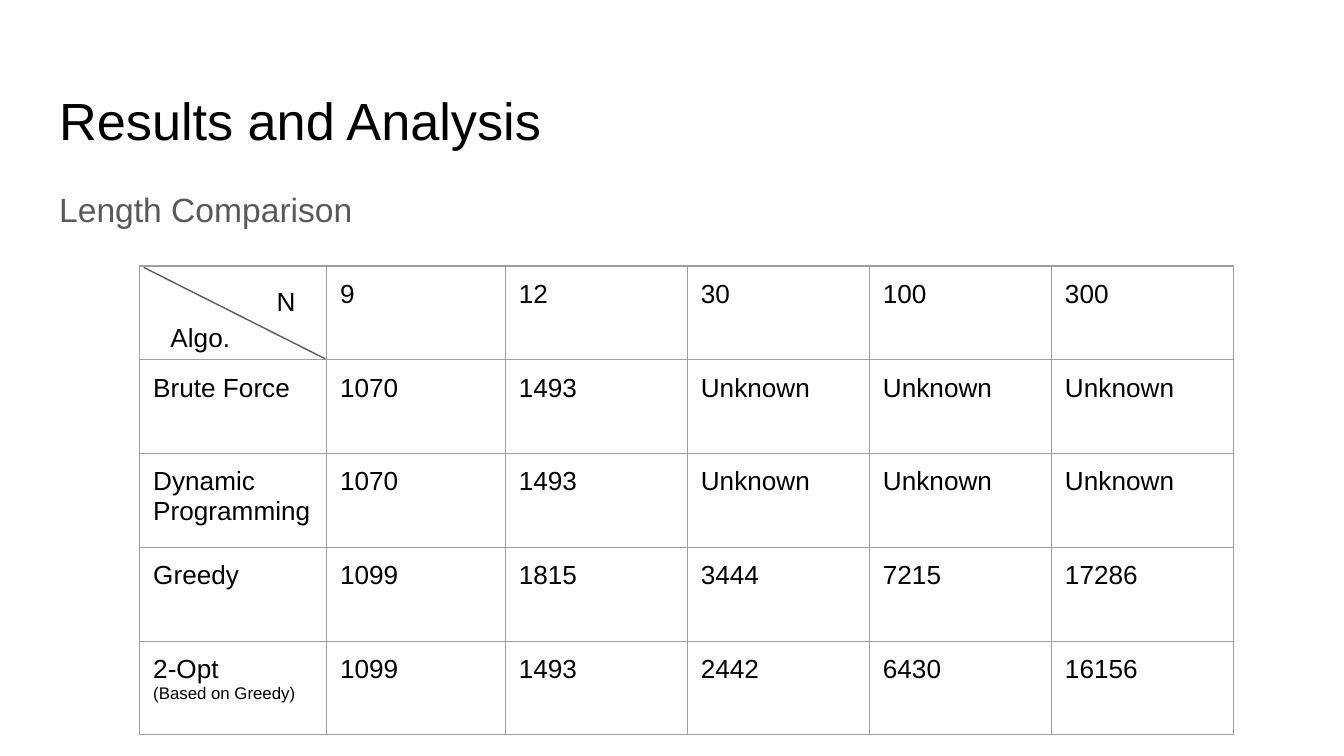
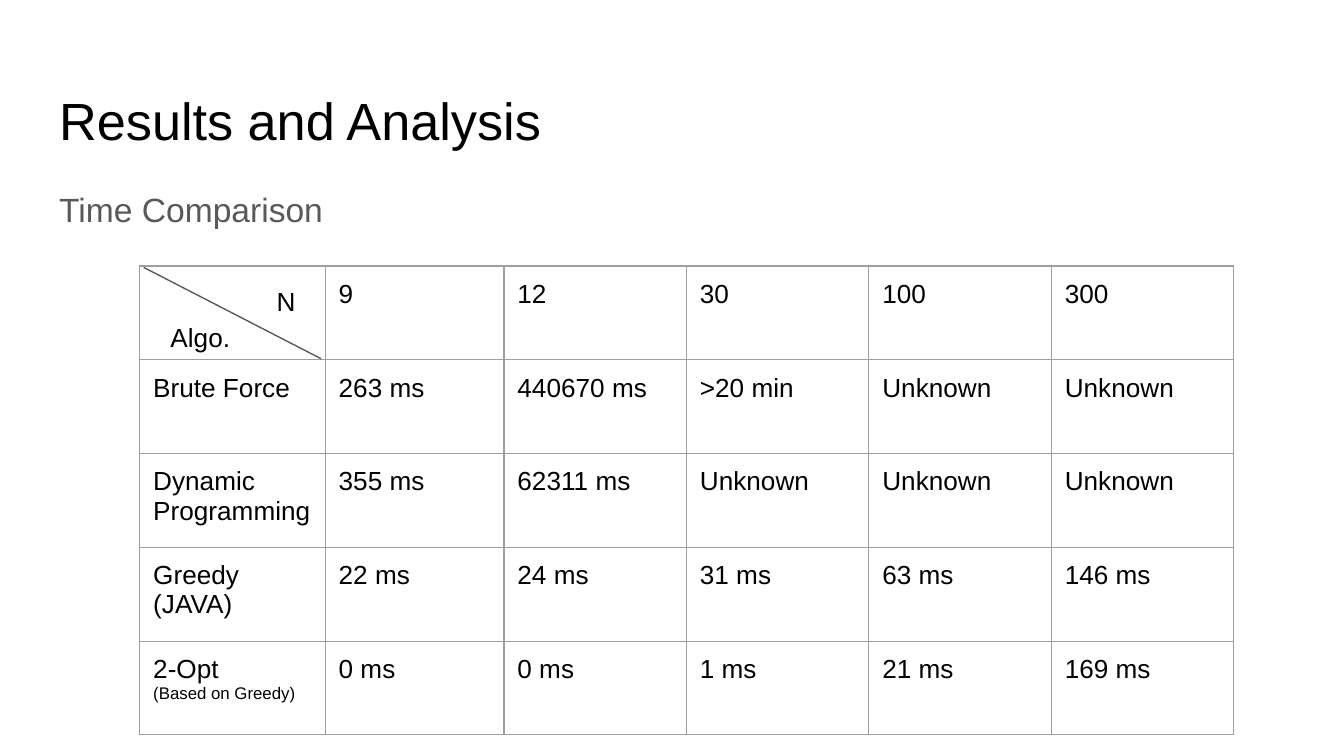
from dataclasses import dataclass

from lxml import etree
from pptx import Presentation
from pptx.dml import color
from pptx.enum import shapes, text
from pptx.oxml import ns
from pptx.util import Inches, Pt

FONT = "Arial"
BLACK = "000000"
GRAY = "595959"
BORDER = "9E9E9E"
LINE_WIDTH = Pt(0.75)
MARGIN = Inches(0.1)
SLIDE_WIDTH = Inches(10)
TABLE_LEFT, TABLE_TOP = 1.04, 1.98
TABLE_WIDTH, TABLE_HEIGHT = 8.14, 3.49
SECOND_COLUMN = 1.33
SIZES = ["9", "12", "30", "100", "300"]
SMALL_NOTE = "(Based on Greedy)"


@dataclass
class Label:
    caption: str
    left: float
    top: float
    width: float


@dataclass
class Comparison:
    subtitle: str
    first_column: float
    diagonal_end: float
    rows: list[list[str]]


CORNER_LABELS = [Label("Algo.", 1.17, 2.29, 0.79), Label("N", 1.96, 2.02, 0.55)]

COMPARISONS = [
    Comparison("Length Comparison", 1.39, 2.42, [
        ["Brute Force", "1070", "1493", "Unknown", "Unknown", "Unknown"],
        ["Dynamic Programming", "1070", "1493", "Unknown", "Unknown", "Unknown"],
        ["Greedy", "1099", "1815", "3444", "7215", "17286"],
        [f"2-Opt\n{SMALL_NOTE}", "1099", "1493", "2442", "6430", "16156"],
    ]),
    Comparison("Time Comparison", 1.38, 2.39, [
        ["Brute Force", "263 ms", "440670 ms", ">20 min", "Unknown", "Unknown"],
        ["Dynamic Programming", "355 ms", "62311 ms", "Unknown", "Unknown", "Unknown"],
        ["Greedy (JAVA)", "22 ms", "24 ms", "31 ms", "63 ms", "146 ms"],
        [f"2-Opt\n{SMALL_NOTE}", "0 ms", "0 ms", "1 ms", "21 ms", "169 ms"],
    ]),
]


def rgb(value: str) -> color.RGBColor:
    return color.RGBColor.from_string(value)


def add_run(paragraph, words: str, size: float = 14, hex_color: str = BLACK) -> None:
    run = paragraph.add_run()
    run.text = words
    run.font.name = FONT
    run.font.size = Pt(size)
    run.font.color.rgb = rgb(hex_color)


def set_margins(target) -> None:
    """Give a cell or a text frame the same inset on all four sides."""
    target.margin_left = target.margin_right = MARGIN
    target.margin_top = target.margin_bottom = MARGIN


def prepare_frame(frame) -> None:
    set_margins(frame)
    frame.word_wrap = True
    frame.auto_size = text.MSO_AUTO_SIZE.NONE
    frame.vertical_anchor = text.MSO_ANCHOR.TOP


def fill_placeholder(shape, words: str, top: float, height: float,
                     size: float, hex_color: str) -> None:
    shape.left, shape.top = Inches(0.34), Inches(top)
    shape.width, shape.height = Inches(9.32), Inches(height)
    prepare_frame(shape.text_frame)
    paragraph = shape.text_frame.paragraphs[0]
    paragraph.alignment = text.PP_ALIGN.LEFT
    paragraph.line_spacing = 1.15
    paragraph.space_before = Pt(0)
    paragraph.space_after = Pt(16)
    properties = paragraph._p.get_or_add_pPr()
    properties.set("marL", "0")
    properties.set("indent", "0")
    etree.SubElement(properties, ns.qn("a:buNone"))
    add_run(paragraph, words, size, hex_color)


def add_borders(cell) -> None:
    properties = cell._tc.get_or_add_tcPr()
    for side in ("lnL", "lnR", "lnT", "lnB"):
        line = etree.SubElement(properties, ns.qn(f"a:{side}"), w=str(LINE_WIDTH))
        fill = etree.SubElement(line, ns.qn("a:solidFill"))
        etree.SubElement(fill, ns.qn("a:srgbClr"), val=BORDER)


def fill_cell(cell, words: str) -> None:
    set_margins(cell)
    add_borders(cell)
    cell.fill.background()
    for index, line in enumerate(words.splitlines()):
        frame = cell.text_frame
        paragraph = frame.add_paragraph() if index else frame.paragraphs[0]
        add_run(paragraph, line, 9 if line == SMALL_NOTE else 14)


def add_results_table(slide, comparison: Comparison) -> None:
    rows = [["", *SIZES], *comparison.rows]
    other_column = (TABLE_WIDTH - comparison.first_column - SECOND_COLUMN) / 4
    widths = [comparison.first_column, SECOND_COLUMN] + [other_column] * 4
    table = slide.shapes.add_table(
        len(rows), len(widths), Inches(TABLE_LEFT), Inches(TABLE_TOP),
        Inches(TABLE_WIDTH), Inches(TABLE_HEIGHT)).table
    table.first_row = table.horz_banding = False
    for column, width in zip(table.columns, widths):
        column.width = Inches(width)
    for table_row, values in zip(table.rows, rows):
        for cell, value in zip(table_row.cells, values):
            fill_cell(cell, value)


def add_corner(slide, diagonal_end: float) -> None:
    """Split the table's first cell by a diagonal and name both axes."""
    diagonal = slide.shapes.add_connector(
        shapes.MSO_CONNECTOR.STRAIGHT, Inches(1.07), Inches(1.99),
        Inches(diagonal_end), Inches(2.67))
    diagonal.line.color.rgb = rgb(GRAY)
    diagonal.line.width = LINE_WIDTH
    etree.SubElement(diagonal._element.spPr, ns.qn("a:effectLst"))
    for label in CORNER_LABELS:
        box = slide.shapes.add_textbox(Inches(label.left), Inches(label.top),
                                       Inches(label.width), Inches(0.3))
        prepare_frame(box.text_frame)
        add_run(box.text_frame.paragraphs[0], label.caption)


def add_comparison_slide(presentation, comparison: Comparison) -> None:
    slide = presentation.slides.add_slide(presentation.slide_layouts[1])
    fill_placeholder(slide.shapes.title, "Results and Analysis", 0.49, 0.63, 28, BLACK)
    fill_placeholder(slide.placeholders[1], comparison.subtitle, 1.26, 3.74, 18, GRAY)
    add_results_table(slide, comparison)
    add_corner(slide, comparison.diagonal_end)


def main() -> None:
    presentation = Presentation()
    presentation.slide_width = SLIDE_WIDTH
    presentation.slide_height = SLIDE_WIDTH * 9 // 16
    for comparison in COMPARISONS:
        add_comparison_slide(presentation, comparison)
    presentation.save("out.pptx")


if __name__ == "__main__":
    main()
